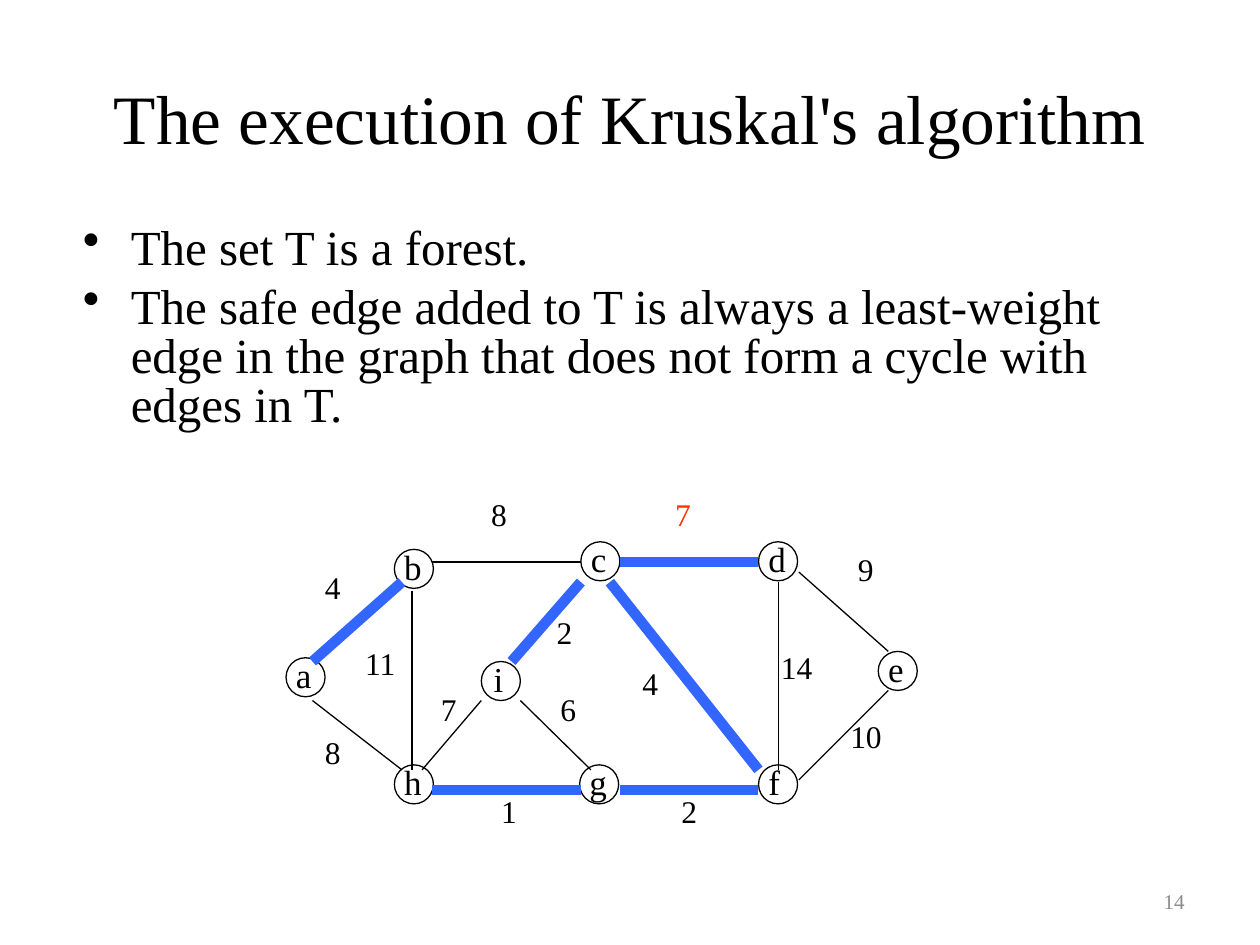
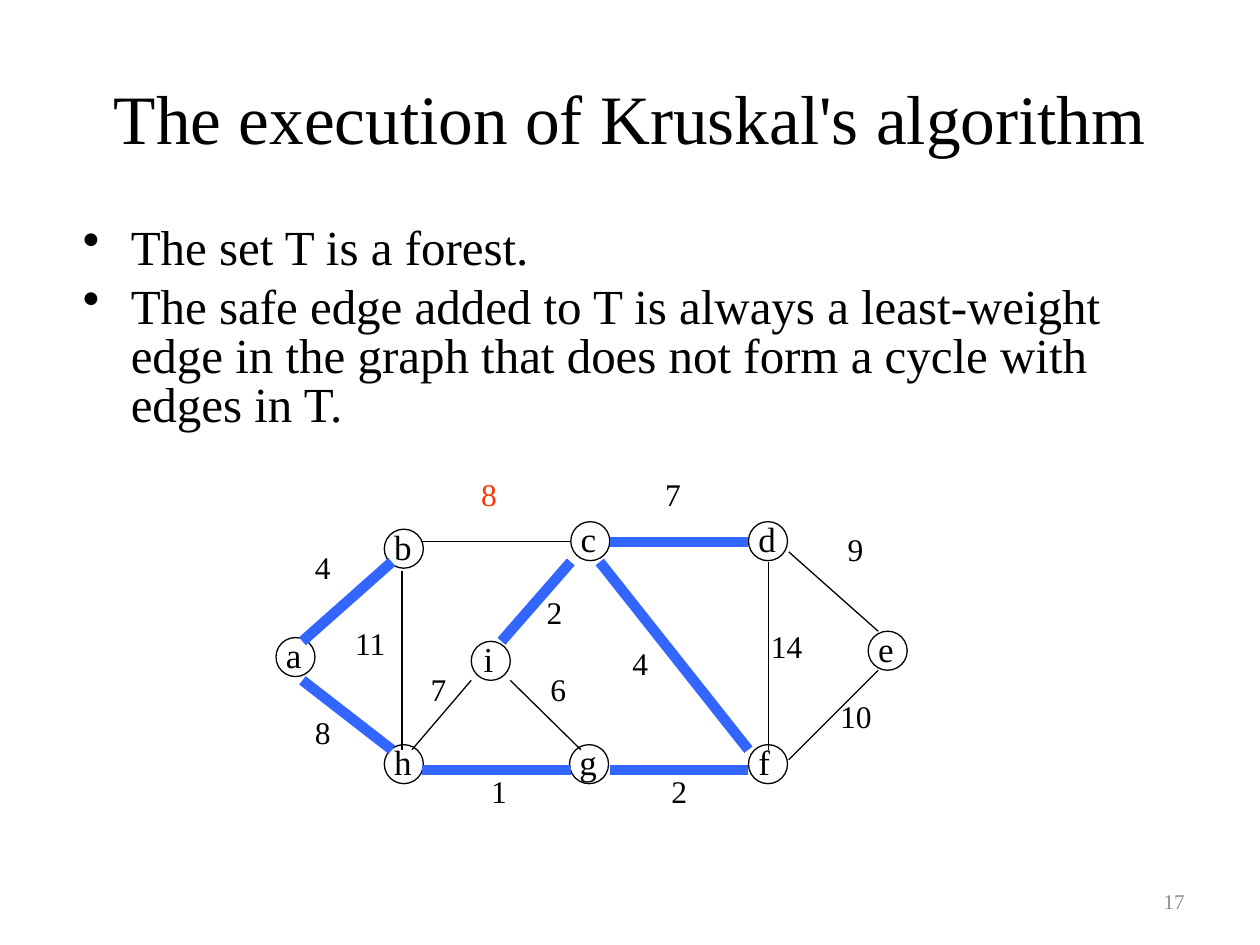
from dataclasses import dataclass
from typing import NamedTuple

from lxml.etree import SubElement
from pptx import Presentation
from pptx.dml.color import RGBColor as Rgb
from pptx.enum.shapes import MSO_CONNECTOR as Connector, MSO_SHAPE as Preset
from pptx.enum.text import MSO_ANCHOR as Anchor, MSO_AUTO_SIZE as AutoSize, PP_ALIGN as Align
from pptx.oxml.ns import qn
from pptx.util import Inches, Pt


@dataclass(frozen=True)
class Theme:
    font: str = "Times New Roman"
    ink: str = "000000"
    tree: str = "3366FF"
    current: str = "FF3300"
    muted: str = "8C8C8C"
    title_size: float = 39.6
    body_size: float = 28
    node_size: float = 20
    weight_size: float = 18
    footer_size: float = 12
    thin: float = 0.75
    thick: float = 6


class Node(NamedTuple):
    letter: str
    left: float
    top: float
    letter_width: float = 0.34
    letter_shift: float = -0.02


class Edge(NamedTuple):
    ends: str
    start: tuple[float, float]
    stop: tuple[float, float]
    weight: int
    label: tuple[float, float]


class Step(NamedTuple):
    number: int
    shift: tuple[float, float]
    tree: set[str]
    current: str


THEME = Theme()
TITLE = "The execution of Kruskal's algorithm"
BULLETS = (
    "The set T is a forest.",
    "The safe edge added to T is always a least-weight edge in the graph "
    "that does not form a cycle with edges in T.",
)
NODE_DIAMETER = 0.31
NODES = (
    Node("a", 2.27, 5.22, 0.32),
    Node("b", 3.13, 4.36),
    Node("h", 3.13, 6.07),
    Node("c", 4.61, 4.3, 0.32),
    Node("d", 6.02, 4.3),
    Node("e", 6.97, 5.17, 0.32),
    Node("f", 6.02, 6.07, 0.29),
    Node("g", 4.6, 6.07),
    Node("i", 3.82, 5.25, 0.28, 0),
)
EDGES = (
    Edge("ab", (2.48, 5.25), (3.19, 4.62), 4, (2.48, 4.46)),
    Edge("ah", (2.48, 5.56), (3.19, 6.11), 8, (2.48, 5.77)),
    Edge("bh", (3.27, 4.69), (3.27, 6.11), 11, (2.8, 5.06)),
    Edge("bc", (3.43, 4.46), (4.61, 4.46), 8, (3.8, 3.88)),
    Edge("hg", (3.43, 6.27), (4.61, 6.27), 1, (3.88, 6.24)),
    Edge("gf", (4.92, 6.27), (6.02, 6.27), 2, (5.31, 6.24)),
    Edge("cf", (4.84, 4.62), (6.02, 6.11), 4, (5, 5.22)),
    Edge("cd", (4.92, 4.46), (6.02, 4.46), 7, (5.26, 3.88)),
    Edge("df", (6.18, 4.62), (6.18, 6.11), 14, (6.1, 5.09)),
    Edge("de", (6.34, 4.54), (7.05, 5.17), 9, (6.71, 4.32)),
    Edge("fe", (6.34, 6.19), (7.05, 5.48), 10, (6.65, 5.64)),
    Edge("ig", (4.13, 5.56), (4.69, 6.11), 6, (4.35, 5.43)),
    Edge("hi", (3.35, 6.11), (3.82, 5.56), 7, (3.4, 5.43)),
    Edge("ic", (4.06, 5.25), (4.61, 4.62), 2, (4.32, 4.82)),
)
FOREST = {"ab", "hg", "gf", "cf", "cd", "ic"}
STEPS = (
    Step(14, (0, 0), FOREST, "cd"),
    Step(17, (-0.08, -0.16), FOREST | {"ah"}, "bc"),
)


def apply_format(target, values: dict) -> None:
    for name, value in values.items():
        setattr(target, name, value)


def write(para, text: str, size: float, color: str = THEME.ink) -> None:
    span = para.add_run()
    span.text = text
    apply_format(span.font, {"name": THEME.font, "size": Pt(size)})
    span.font.color.rgb = Rgb.from_string(color)


def add_text_box(page, left: float, top: float, width: float, height: float):
    box = page.shapes.add_textbox(Inches(left), Inches(top), Inches(width), Inches(height))
    box.text_frame.word_wrap = True
    return box.text_frame


def add_title(page) -> None:
    title = page.shapes.title
    apply_format(title, {"left": Inches(0.5), "top": Inches(0.3),
                         "width": Inches(9), "height": Inches(1.25)})
    frame = title.text_frame
    apply_format(frame, {"vertical_anchor": Anchor.MIDDLE, "auto_size": AutoSize.NONE})
    para = frame.paragraphs[0]
    para.alignment = Align.CENTER
    write(para, TITLE, THEME.title_size)


def add_bullets(page) -> None:
    frame = add_text_box(page, 0.5, 1.75, 9, 4.95)
    for index, text in enumerate(BULLETS):
        para = frame.add_paragraph() if index else frame.paragraphs[0]
        properties = para._p.get_or_add_pPr()
        properties.set("marL", str(Inches(0.44)))
        properties.set("indent", str(Inches(-0.38)))
        SubElement(properties, qn("a:buChar")).set("char", "•")
        apply_format(para, {"line_spacing": 0.83,
                            "space_before": Pt(0.2 * THEME.body_size if index else 0)})
        write(para, text, THEME.body_size)


def add_page_number(page, number: int) -> None:
    frame = add_text_box(page, 7.17, 6.95, 2.33, 0.4)
    frame.vertical_anchor = Anchor.MIDDLE
    para = frame.paragraphs[0]
    para.alignment = Align.RIGHT
    write(para, str(number), THEME.footer_size, THEME.muted)


def add_node(page, node: Node, shift: tuple[float, float]) -> None:
    left, top = node.left + shift[0], node.top + shift[1]
    frame = add_text_box(page, left + node.letter_shift, top - 0.08, node.letter_width, 0.43)
    write(frame.paragraphs[0], node.letter, THEME.node_size)
    circle = page.shapes.add_shape(Preset.OVAL, Inches(left), Inches(top),
                                   Inches(NODE_DIAMETER), Inches(NODE_DIAMETER))
    circle.shadow.inherit = False
    circle.fill.background()
    circle.line.color.rgb = Rgb.from_string(THEME.ink)
    circle.line.width = Pt(THEME.thin)


def add_edge(page, edge: Edge, step: Step) -> None:
    dx, dy = step.shift
    (x1, y1), (x2, y2) = edge.start, edge.stop
    line = page.shapes.add_connector(Connector.STRAIGHT, Inches(x1 + dx), Inches(y1 + dy),
                                     Inches(x2 + dx), Inches(y2 + dy))
    SubElement(line._element.spPr, qn("a:effectLst"))
    in_tree = edge.ends in step.tree
    line.line.color.rgb = Rgb.from_string(THEME.tree if in_tree else THEME.ink)
    line.line.width = Pt(THEME.thick if in_tree else THEME.thin)


def add_weight(page, edge: Edge, step: Step) -> None:
    width = 0.53 if edge.weight > 9 else 0.37
    left, top = edge.label
    frame = add_text_box(page, left + step.shift[0], top + step.shift[1], width, 0.5)
    color = THEME.current if edge.ends == step.current else THEME.ink
    write(frame.paragraphs[0], str(edge.weight), THEME.weight_size, color)


def add_step(deck, step: Step) -> None:
    page = deck.slides.add_slide(deck.slide_layouts.get_by_name("Title Only"))
    add_title(page)
    add_bullets(page)
    add_page_number(page, step.number)
    # Graph: nodes, then edges, then weights on top
    for node in NODES:
        add_node(page, node, step.shift)
    for edge in EDGES:
        add_edge(page, edge, step)
    for edge in EDGES:
        add_weight(page, edge, step)


def main() -> None:
    deck = Presentation()
    apply_format(deck, {"slide_width": Inches(10), "slide_height": Inches(7.5)})
    for step in STEPS:
        add_step(deck, step)
    deck.save("out.pptx")


if __name__ == "__main__":
    main()
